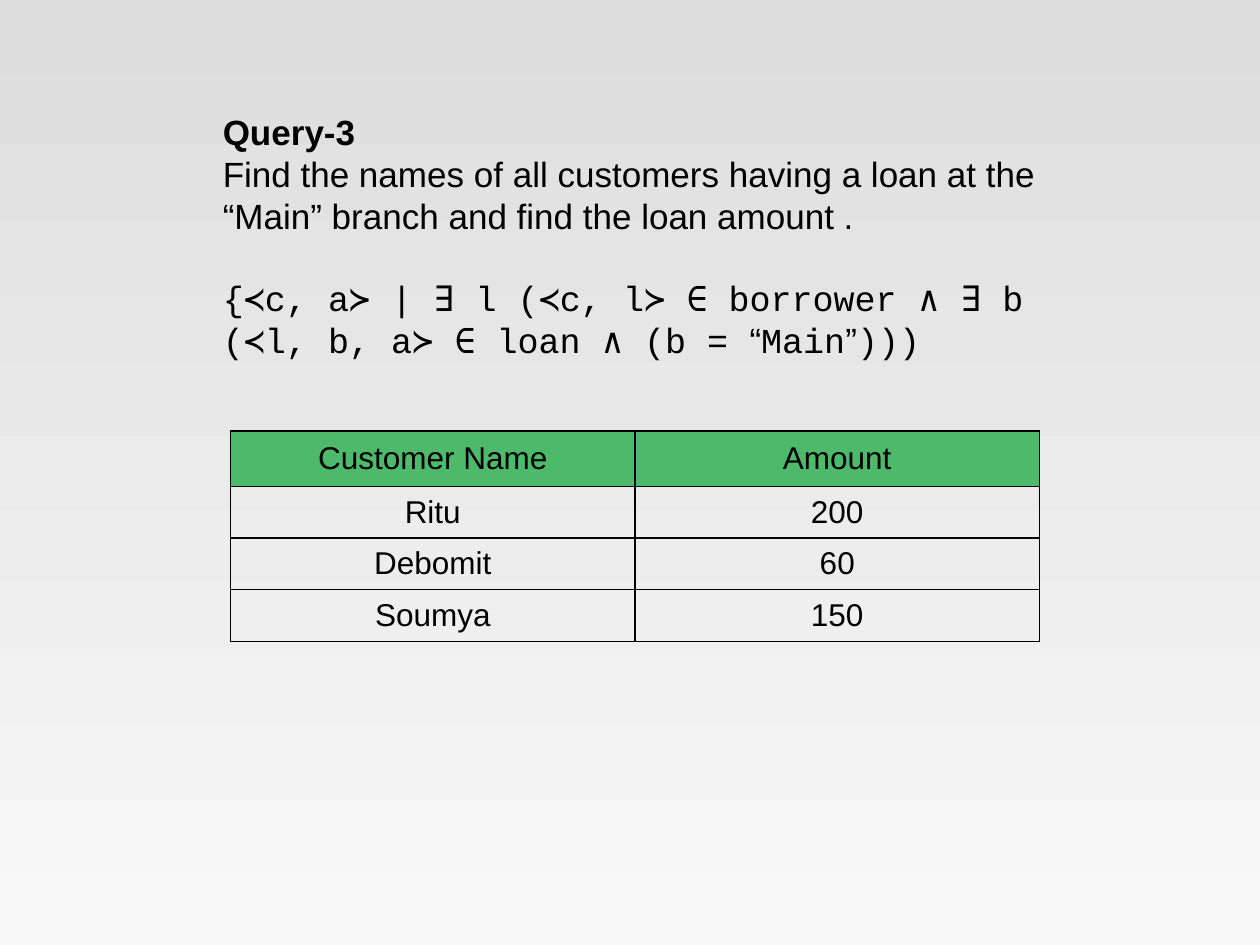
from lxml.etree import SubElement
from pptx import Presentation
from pptx.dml.color import RGBColor
from pptx.enum.text import MSO_ANCHOR, MSO_AUTO_SIZE, PP_ALIGN
from pptx.oxml.ns import qn
from pptx.util import Inches, Pt

COLORS = {
    "text": "000000",
    "border": "000000",
    "header": "4CB96B",
    "background_top": "DDDDDD",
    "background_bottom": "F8F8F8",
}
SANS = "Arial"
MONO = "Courier New"

QUESTION = [
    [("Query-3", SANS, True)],
    [("Find the names of all customers having a loan at the “Main” branch "
      "and find the loan amount .", SANS, False)],
]
CALCULUS = [[
    ("{≺c, a≻ | ∃ l (≺c, l≻ ∈ borrower ∧ ∃ b (≺l, b, a≻ ∈ loan ∧ (b = ", MONO, False),
    ("“", SANS, False),
    ("Main", MONO, False),
    ("”", SANS, False),
    (")))", MONO, False),
]]
RESULT = [
    ("Customer Name", "Amount"),
    ("Ritu", "200"),
    ("Debomit", "60"),
    ("Soumya", "150"),
]


def color(name):
    return RGBColor.from_string(COLORS[name])


def set_background(slide):
    fill = slide.background.fill
    fill.gradient()
    fill.gradient_angle = 270
    for stop, name in zip(fill.gradient_stops, ("background_top", "background_bottom")):
        stop.color.rgb = color(name)


def add_run(paragraph, text, font, size, bold=False):
    run = paragraph.add_run()
    run.text = text
    run.font.name = font
    run.font.size = Pt(size)
    run.font.bold = bold
    run.font.color.rgb = color("text")


def add_text(slide, top, height, paragraphs, anchor):
    box = slide.shapes.add_textbox(Inches(1.67), Inches(top), Inches(7), Inches(height))
    frame = box.text_frame
    frame.word_wrap = True
    frame.auto_size = MSO_AUTO_SIZE.SHAPE_TO_FIT_TEXT
    frame.vertical_anchor = anchor
    for index, runs in enumerate(paragraphs):
        paragraph = frame.add_paragraph() if index else frame.paragraphs[0]
        for text, font, bold in runs:
            add_run(paragraph, text, font, 20, bold)


def add_borders(cell):
    properties = cell._tc.get_or_add_tcPr()
    for side in ("lnL", "lnR", "lnT", "lnB"):
        line = SubElement(properties, qn(f"a:{side}"), w=str(Pt(1)))
        fill = SubElement(line, qn("a:solidFill"))
        SubElement(fill, qn("a:srgbClr"), val=COLORS["border"])


def format_cell(cell, text, is_header):
    add_borders(cell)
    if is_header:
        cell.fill.solid()
        cell.fill.fore_color.rgb = color("header")
    else:
        cell.fill.background()
    side, edge = (0.07, 0.07) if is_header else (0.1, 0.05)
    cell.margin_left = cell.margin_right = Inches(side)
    cell.margin_top = cell.margin_bottom = Inches(edge)
    cell.vertical_anchor = MSO_ANCHOR.MIDDLE
    paragraph = cell.text_frame.paragraphs[0]
    paragraph.alignment = PP_ALIGN.CENTER
    add_run(paragraph, text, SANS, 18)


def add_result_table(slide):
    table = slide.shapes.add_table(
        len(RESULT), len(RESULT[0]),
        Inches(1.83), Inches(3.42), Inches(6.42), Inches(1.67),
    ).table
    table.first_row = False
    table.horz_banding = False
    for row_index, values in enumerate(RESULT):
        is_header = row_index == 0
        table.rows[row_index].height = Inches(0.44 if is_header else 0.41)
        for column_index, text in enumerate(values):
            format_cell(table.cell(row_index, column_index), text, is_header)


def main():
    presentation = Presentation()
    presentation.slide_width = Inches(10)
    presentation.slide_height = Inches(7.5)
    slide = presentation.slides.add_slide(presentation.slide_layouts[6])
    set_background(slide)
    add_text(slide, 0.83, 1.11, QUESTION, MSO_ANCHOR.TOP)
    add_text(slide, 2.14, 0.77, CALCULUS, MSO_ANCHOR.MIDDLE)
    add_result_table(slide)
    presentation.save("out.pptx")


if __name__ == "__main__":
    main()
